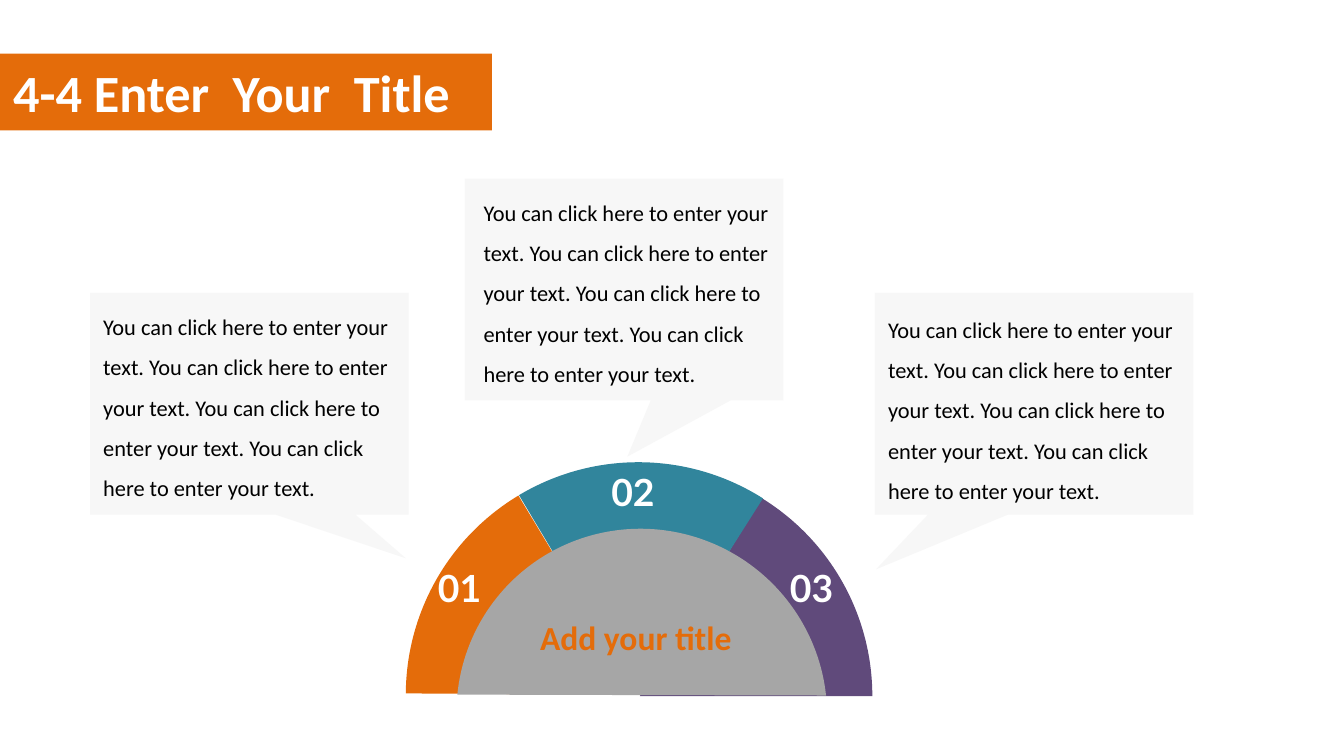
from lxml import etree
from pptx import Presentation
from pptx.dml.color import RGBColor
from pptx.enum.shapes import MSO_SHAPE
from pptx.enum.text import MSO_AUTO_SIZE
from pptx.oxml.ns import qn
from pptx.util import Inches, Pt

# Content
TITLE = "4-4 Enter  Your  Title"
CENTRE_TITLE = "Add your title"
BODY = " ".join(["You can click here to enter your text."] * 4)

ORANGE, TEAL, PURPLE = "E46C0A", "31859C", "604A7B"
GREY, PALE, WHITE, BLACK = "A6A6A6", "F2F2F2", "FFFFFF", "000000"

# Callout left, top, pointer tip (share of size), text offset x and y
CALLOUTS = [
    (6.51, 2.18, (-0.496, 0.746), (0, 0.02)),
    (3.46, 1.33, (0.01, 0.753), (0.04, 0)),
    (0.67, 2.18, (0.491, 0.696), (0, 0)),
]
CALLOUT_WIDTH, CALLOUT_HEIGHT = 2.37, 1.65

# Arc left, top, rotation, start and end angle, colour
ARCS = [
    (3.03, 3.45, 90, (211.64, 270), PURPLE),
    (3.02, 3.44, 45, (194.12, 257.4), TEAL),
    (3.02, 3.44, 341.8, (198.53, 257.15), ORANGE),
]
ARC_SIZE = 3.46

# Number, left, top, width
NUMBERS = [("01", 3.16, 4.16, 0.55), ("02", 4.45, 3.44, 0.57), ("03", 5.78, 4.16, 0.57)]


def colour(value):
    return RGBColor.from_string(value)


def add_shape(page, kind, place, fill, adjustments=(), rotation=0, opacity=100):
    shape = page.shapes.add_shape(kind, *map(Inches, place))
    shape.shadow.inherit = False
    shape.rotation = rotation
    shape.fill.solid()
    shape.fill.fore_color.rgb = colour(fill)
    shape.line.fill.background()
    for index, value in enumerate(adjustments):
        shape.adjustments[index] = value
    if opacity < 100:
        fill_colour = shape.element.spPr.find(".//" + qn("a:srgbClr"))
        etree.SubElement(fill_colour, qn("a:alpha"), val=str(opacity * 1000))


def add_round_part(page, kind, place, fill, angles, rotation):
    # Angles are stored in 60000ths of a degree, adjustments in 100000ths
    add_shape(page, kind, place, fill, [angle * 0.6 for angle in angles], rotation)


def add_text(page, text, place, size, ink, font="Calibri", bold=True,
             wrap=True, spacing=None):
    box = page.shapes.add_textbox(*map(Inches, place))
    frame = box.text_frame
    frame.word_wrap = wrap
    frame.auto_size = MSO_AUTO_SIZE.SHAPE_TO_FIT_TEXT
    frame.text = text
    para = frame.paragraphs[0]
    para.line_spacing = spacing
    span = para.runs[0]
    span.font.name = font
    span.font.size = Pt(size)
    span.font.bold = bold
    span.font.color.rgb = colour(ink)


def main():
    # Widescreen page, 16:9
    deck = Presentation()
    deck.slide_width = Inches(10)
    deck.slide_height = deck.slide_width * 9 // 16
    page = deck.slides.add_slide(deck.slide_layouts[6])

    # Title banner
    add_shape(page, MSO_SHAPE.RECTANGLE, (0, 0.4, 3.66, 0.57), ORANGE)
    add_text(page, TITLE, (0, 0.4, 3.5, 0.57), 28, WHITE)

    # Callouts
    for left, top, tip, (shift_x, shift_y) in CALLOUTS:
        add_shape(page, MSO_SHAPE.RECTANGULAR_CALLOUT,
                  (left, top, CALLOUT_WIDTH, CALLOUT_HEIGHT), PALE, tip, opacity=60)
        add_text(page, BODY, (left + shift_x, top + shift_y, CALLOUT_WIDTH, 1.62),
                 12, BLACK, bold=False, spacing=1.5)

    # Half ring with its grey centre
    for left, top, rotation, angles, fill in ARCS:
        add_round_part(page, MSO_SHAPE.PIE, (left, top, ARC_SIZE, ARC_SIZE),
                       fill, angles, rotation)
    add_round_part(page, MSO_SHAPE.CHORD, (3.4, 3.93, 2.75, 2.77),
                   GREY, (45.89, 213.98), 140.2)

    # Labels on the half ring
    add_text(page, CENTRE_TITLE, (3.92, 4.54, 1.83, 0.4), 18, ORANGE)
    for number, left, top, width in NUMBERS:
        add_text(page, number, (left, top, width, 0.44), 20, WHITE,
                 font="Lato", wrap=False)

    deck.save("out.pptx")


if __name__ == "__main__":
    main()
